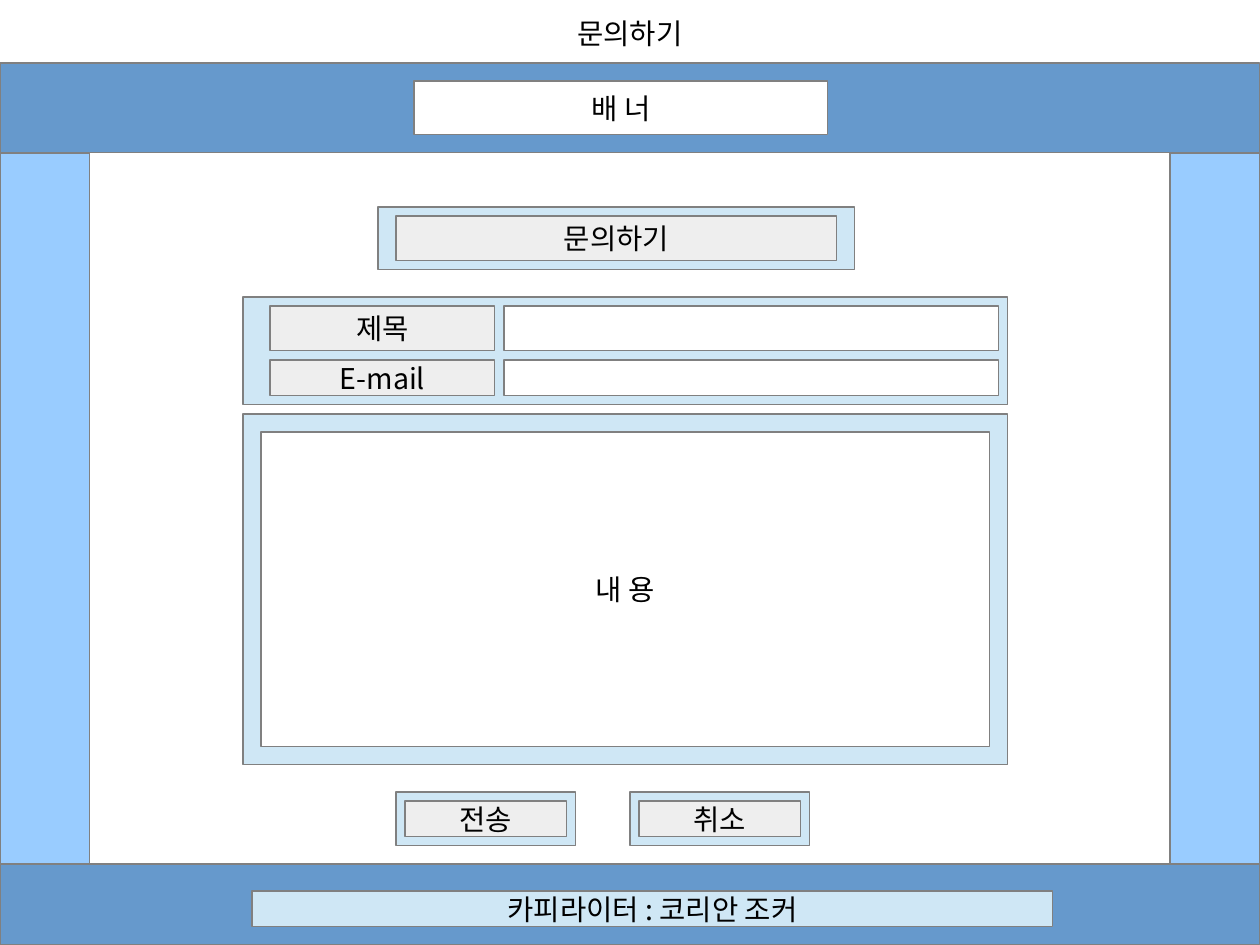
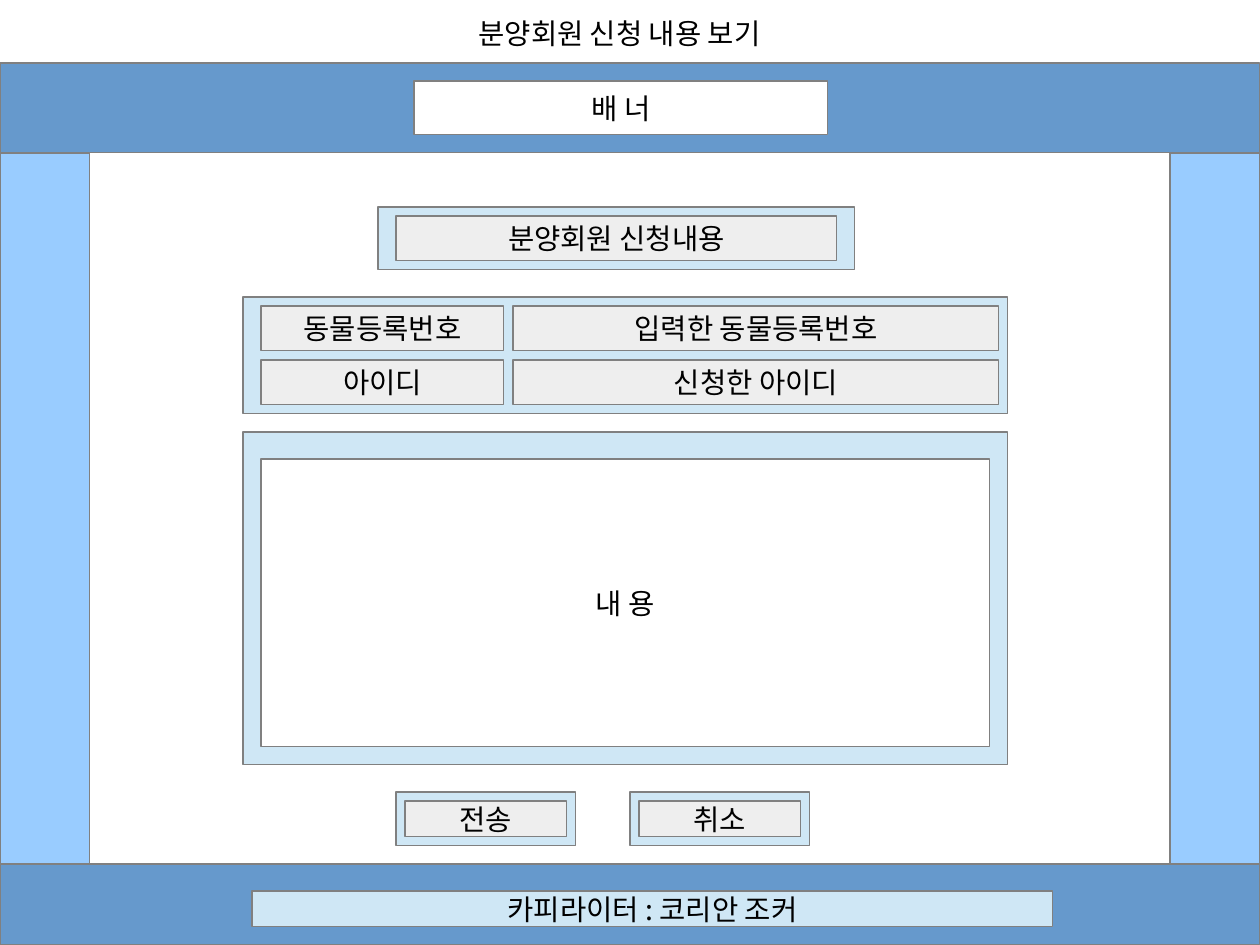
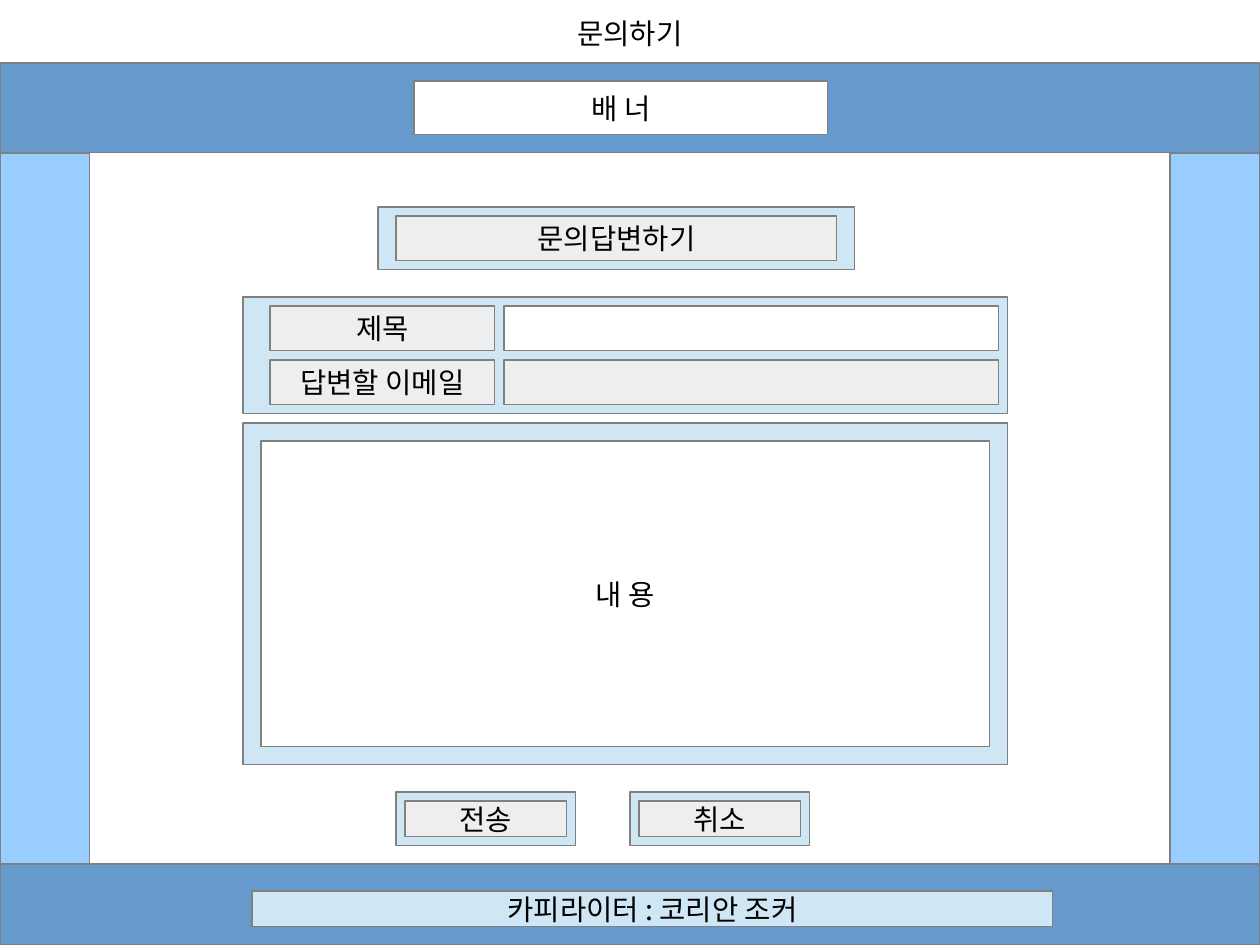
from dataclasses import dataclass

import pptx
import pptx.dml.color
import pptx.enum.shapes
import pptx.enum.text
import pptx.oxml
import pptx.oxml.ns
import pptx.util

SCALE = 8000  # EMU in one px
WIDE, HIGH = 1260, 945
GAP = 9


@dataclass(frozen=True)
class Theme:
    band: str = "6699CC"
    side: str = "99CCFF"
    panel: str = "CFE7F5"
    label: str = "EEEEEE"
    white: str = "FFFFFF"
    line: str = "808080"
    ink: str = "000000"
    font: str = "Noto Sans CJK KR"
    size: int = 18


THEME = Theme()


@dataclass(frozen=True)
class Box:
    left: int
    top: int
    wide: int
    high: int

    def inset(self, dx: int, dy: int) -> "Box":
        return Box(self.left + dx, self.top + dy, self.wide - 2 * dx, self.high - 2 * dy)

    def emu(self) -> tuple[int, ...]:
        return tuple(n * SCALE for n in (self.left, self.top, self.wide, self.high))


@dataclass(frozen=True)
class Row:
    label: str
    high: int = 45
    value: str = ""
    fill: str = THEME.white


@dataclass(frozen=True)
class Page:
    title: str
    place: Box
    head: str
    rows: tuple[Row, ...]
    left: int    # left edge of the labels
    split: int   # left edge of the values
    body: int    # top of the body panel
    rim: int     # rim above the body text


TITLE = Box(459, 10, 342, 53)
PAGES = (
    Page("문의하기", TITLE, "문의하기",
         (Row("제목"), Row("E-mail", high=36)),
         left=270, split=504, body=414, rim=18),
    Page("분양회원 신청 내용 보기", Box(399, 10, 441, 53), "분양회원 신청내용",
         (Row("동물등록번호", value="입력한 동물등록번호", fill=THEME.label),
          Row("아이디", value="신청한 아이디", fill=THEME.label)),
         left=261, split=513, body=432, rim=27),
    Page("문의하기", TITLE, "문의답변하기",
         (Row("제목"), Row("답변할 이메일", fill=THEME.label)),
         left=270, split=504, body=423, rim=18),
)


def color(code: str) -> pptx.dml.color.RGBColor:
    return pptx.dml.color.RGBColor.from_string(code)


def write(shape, text: str, *, size: int = THEME.size, ink: str = THEME.ink,
          anchor=pptx.enum.text.MSO_ANCHOR.MIDDLE,
          align=pptx.enum.text.PP_ALIGN.CENTER) -> None:
    frame = shape.text_frame
    frame.word_wrap = True
    frame.vertical_anchor = anchor
    para = frame.paragraphs[0]
    para.alignment = align
    run = para.add_run()
    run.text = text
    run.font.size = pptx.util.Pt(size)
    run.font.color.rgb = color(ink)
    run.font.name = THEME.font
    # Hangul takes the East Asian font
    asian = pptx.oxml.parse_xml(
        f'<a:ea {pptx.oxml.ns.nsdecls("a")} typeface="{THEME.font}"/>')
    run.font._element.append(asian)


def draw(slide, box: Box, fill: str, text: str = "") -> None:
    shape = slide.shapes.add_shape(
        pptx.enum.shapes.MSO_SHAPE.RECTANGLE, *box.emu())
    shape.shadow.inherit = False
    shape.fill.solid()
    shape.fill.fore_color.rgb = color(fill)
    shape.line.color.rgb = color(THEME.line)
    shape.line.width = pptx.util.Pt(0)
    if text:
        write(shape, text)


def framed(slide, box: Box, text: str, dx: int = GAP) -> None:
    draw(slide, box, THEME.panel)
    draw(slide, box.inset(dx, GAP), THEME.label, text)


def frame(slide, page: Page) -> None:
    # Bands and sides
    draw(slide, Box(0, 63, WIDE, 90), THEME.band)
    for left in (0, WIDE - 90):
        draw(slide, Box(left, 153, 90, 711), THEME.side)
    draw(slide, Box(0, 864, WIDE, 81), THEME.band)
    # Title, banner and footer
    title = slide.shapes.add_textbox(*page.place.emu())
    write(title, page.title, anchor=pptx.enum.text.MSO_ANCHOR.TOP)
    draw(slide, Box(414, 81, 414, 54), THEME.white, "배 너")
    draw(slide, Box(252, 891, 801, 36), THEME.panel, "카피라이터 : 코리안 조커")


def form(slide, page: Page) -> None:
    framed(slide, Box(378, 207, 477, 63), page.head, dx=18)
    # Rows of label and value
    high = GAP + sum(row.high + GAP for row in page.rows)
    panel = Box(243, 297, 765, high)
    draw(slide, panel, THEME.panel)
    edge = panel.left + panel.wide - GAP
    top = panel.top + GAP
    for row in page.rows:
        draw(slide, Box(page.left, top, page.split - GAP - page.left, row.high),
             THEME.label, row.label)
        draw(slide, Box(page.split, top, edge - page.split, row.high),
             row.fill, row.value)
        top += row.high + GAP
    # Body
    body = Box(panel.left, page.body, panel.wide, 765 - page.body)
    draw(slide, body, THEME.panel)
    draw(slide, Box(body.left + 18, body.top + page.rim, body.wide - 36,
                    body.high - page.rim - 18), THEME.white, "내 용")
    # Buttons
    for place, text in enumerate(("전송", "취소")):
        framed(slide, Box(396 + 234 * place, 792, 180, 54), text)


def main() -> None:
    deck = pptx.Presentation()
    deck.slide_width, deck.slide_height = WIDE * SCALE, HIGH * SCALE
    for page in PAGES:
        slide = deck.slides.add_slide(deck.slide_layouts[6])
        frame(slide, page)
        form(slide, page)
    deck.save("out.pptx")


if __name__ == "__main__":
    main()
